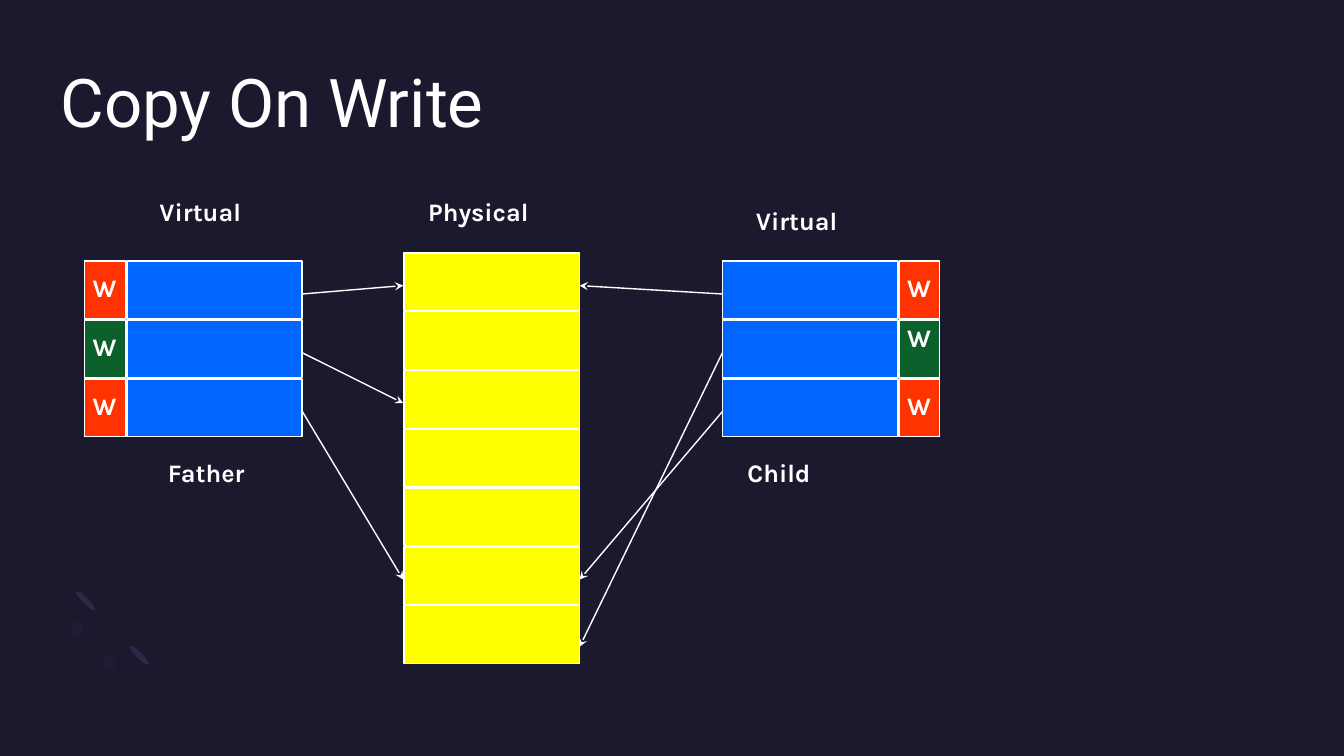
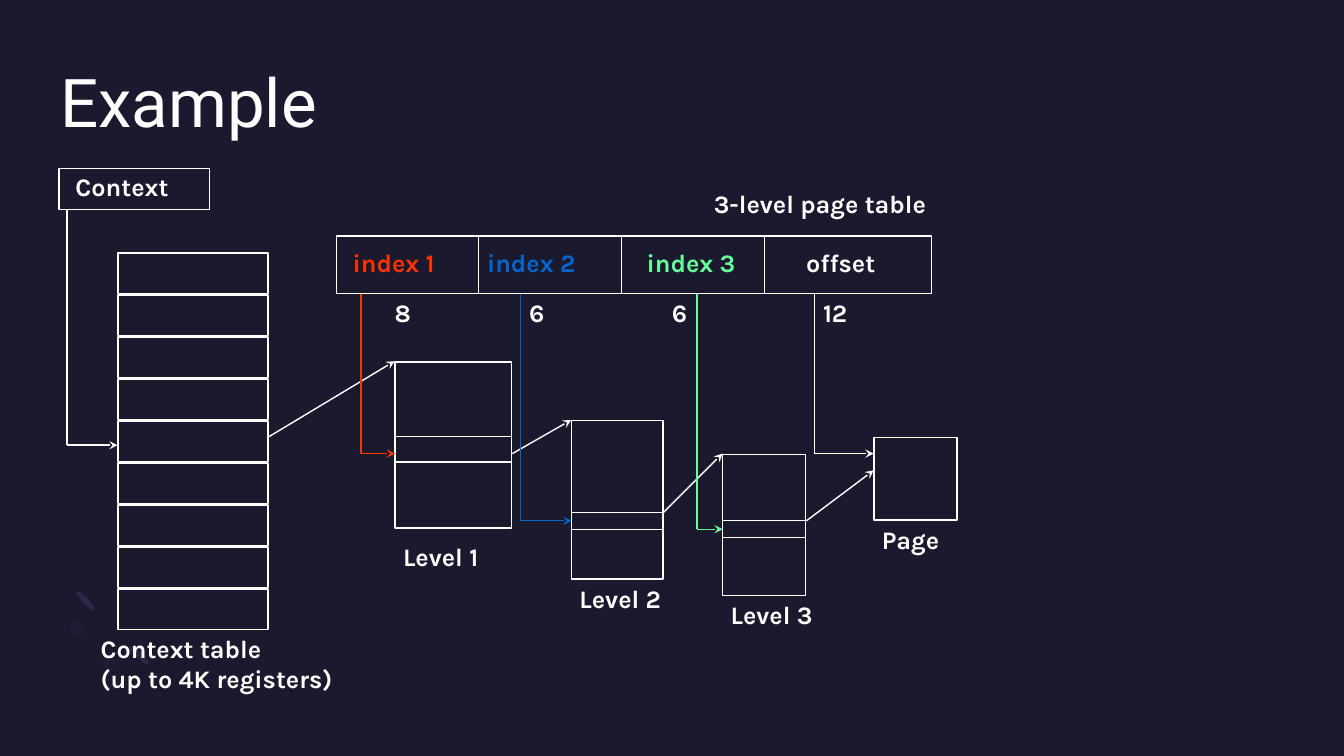
"""Build two slides on copy on write and a three-level page table."""
from dataclasses import dataclass
from typing import Optional

from lxml import etree
from pptx import Presentation
from pptx import util as u
from pptx.dml import color
from pptx.enum import shapes, text
from pptx.oxml import ns


@dataclass(frozen=True)
class Theme:
    background: str = "1B192E"
    ink: str = "FFFFFF"
    petal: str = "2C284A"
    haze: str = "1F1D33"
    blue: str = "0066FF"
    yellow: str = "FFFF00"
    red: str = "FF3300"
    green: str = "0C602B"
    index_blue: str = "0066CC"
    index_green: str = "66FF99"
    title_font: str = "Roboto"
    body_font: str = "Karla"
    title_size: float = 48
    body_size: float = 18
    line_width: float = 1


@dataclass(frozen=True)
class Area:
    left: float
    top: float
    width: float
    height: float


@dataclass(frozen=True)
class Label:
    words: str
    left: float
    top: float
    width: float = 96
    colour: str = Theme.ink
    height: float = 36


@dataclass(frozen=True)
class Arrow:
    x1: float
    y1: float
    x2: float
    y2: float


@dataclass(frozen=True)
class Drop:
    x: float
    top: float
    bottom: float
    end: float
    colour: str = Theme.ink


@dataclass(frozen=True)
class Level:
    name: str
    area: Area
    entry_top: float
    entry_bottom: float
    label_top: float
    drop_x: float
    colour: str
    exit: Arrow


THEME = Theme()
KIND = shapes.MSO_SHAPE
ROW_PITCH = 42.1
VIRTUAL_TOP = 186.4
FIELD_BOTTOM = 210


def rgb(value: str) -> color.RGBColor:
    return color.RGBColor.from_string(value)


def add_figure(page, kind, area: Area, fill: Optional[str] = None,
               outlined: bool = True, turn: float = 0) -> None:
    box = page.shapes.add_shape(kind, u.Pt(area.left), u.Pt(area.top),
                                u.Pt(area.width), u.Pt(area.height))
    box.shadow.inherit = False
    box.rotation = turn
    if fill:
        box.fill.solid()
        box.fill.fore_color.rgb = rgb(fill)
    else:
        box.fill.background()
    if outlined:
        box.line.color.rgb = rgb(THEME.ink)
        box.line.width = u.Pt(THEME.line_width)
    else:
        box.line.fill.background()


def add_rows(page, first: Area, pitch: float, fills: list[Optional[str]]) -> None:
    for row, fill in enumerate(fills):
        area = Area(first.left, first.top + row * pitch, first.width, first.height)
        add_figure(page, KIND.RECTANGLE, area, fill)


def add_line(page, line: Arrow, colour: str = THEME.ink, headed: bool = False) -> None:
    connector = page.shapes.add_connector(
        shapes.MSO_CONNECTOR.STRAIGHT, u.Pt(line.x1), u.Pt(line.y1),
        u.Pt(line.x2), u.Pt(line.y2))
    connector.line.color.rgb = rgb(colour)
    connector.line.width = u.Pt(THEME.line_width)
    properties = connector._element.spPr
    if headed:
        stroke = properties.find(ns.qn("a:ln"))
        etree.SubElement(stroke, ns.qn("a:tailEnd"), type="stealth")
    etree.SubElement(properties, ns.qn("a:effectLst"))


def add_drop(page, drop: Drop) -> None:
    add_line(page, Arrow(drop.x, drop.top, drop.x, drop.bottom), drop.colour)
    add_line(page, Arrow(drop.x, drop.bottom, drop.end, drop.bottom), drop.colour, True)


def add_text(page, area: Area, words: str, font: str, size: float, colour: str,
             bold: bool, inset_x: float = 0, inset_y: float = 0) -> None:
    box = page.shapes.add_textbox(u.Pt(area.left), u.Pt(area.top),
                                  u.Pt(area.width), u.Pt(area.height))
    frame = box.text_frame
    frame.word_wrap = True
    frame.vertical_anchor = text.MSO_ANCHOR.TOP
    frame.margin_left = frame.margin_right = u.Pt(inset_x)
    frame.margin_top = frame.margin_bottom = u.Pt(inset_y)
    for number, line in enumerate(words.split("\n")):
        para = frame.add_paragraph() if number else frame.paragraphs[0]
        span = para.add_run()
        span.text = line
        span.font.name = font
        span.font.size = u.Pt(size)
        span.font.bold = bold
        span.font.color.rgb = rgb(colour)


def add_label(page, label: Label) -> None:
    add_text(page, Area(label.left, label.top, label.width, label.height), label.words,
             THEME.body_font, THEME.body_size, label.colour, True, 7.2, 3.6)


def add_page(deck, title: str):
    page = deck.slides.add_slide(deck.slide_layouts[6])
    for left, top in ((97.2, 458.6), (59, 419.8)):
        add_figure(page, KIND.OVAL, Area(left, top, 4.3, 18.7), THEME.petal, False, 135)
    for left, top in ((50.5, 443.5), (73.5, 468)):
        add_figure(page, KIND.OVAL, Area(left, top, 9, 11), THEME.haze, False)
    add_text(page, Area(43.2, 43.2, 873.4, 105), title,
             THEME.title_font, THEME.title_size, THEME.ink, False)
    return page


def add_copy_on_write(deck) -> None:
    page = add_page(deck, "Copy On Write")
    flags = [THEME.red, THEME.green, THEME.red]
    for left in (90.6, 516.2):
        add_rows(page, Area(left, VIRTUAL_TOP, 125.2, 41.2), ROW_PITCH, [THEME.blue] * 3)
    add_rows(page, Area(288.6, 180.7, 125.2, 41.2), 42, [THEME.yellow] * 7)
    for left in (60.5, 642.3):
        add_rows(page, Area(left, VIRTUAL_TOP, 29, 41.2), ROW_PITCH, flags)

    for start, end, targets in ((216, 288, (204, 288, 414)), (516, 414, (204, 462, 414))):
        for row, target in enumerate(targets):
            add_line(page, Arrow(start, 210 + row * 42, end, target), headed=True)

    for left, nudges in ((59, (0, 0, 0)), (640.8, (0, -6, 0))):
        for row, nudge in enumerate(nudges):
            top = VIRTUAL_TOP + 4.4 + row * ROW_PITCH + nudge
            add_label(page, Label("W", left, top, 40))

    for label in (
        Label("Virtual", 106.8, 136.8),
        Label("Virtual", 532.8, 142.8),
        Label("Physical", 298.8, 136.8, 106),
        Label("Father", 112.8, 322.8),
        Label("Child", 526.8, 322.8),
    ):
        add_label(page, label)


def add_level(page, level: Level) -> None:
    area = level.area
    add_figure(page, KIND.RECTANGLE, area)
    for y in (level.entry_top, level.entry_bottom):
        add_line(page, Arrow(area.left, y, area.left + area.width, y))
    middle = (level.entry_top + level.entry_bottom) / 2
    if level.name == "Level 1":
        middle += 3
    add_drop(page, Drop(level.drop_x, FIELD_BOTTOM, middle, area.left, level.colour))
    add_line(page, level.exit, headed=True)
    add_label(page, Label(level.name, area.left - 1.4, level.label_top))


def add_example(deck) -> None:
    page = add_page(deck, "Example")
    add_rows(page, Area(84.2, 180.7, 107.4, 29.1), 30, [None] * 9)
    for area in (
        Area(42.2, 120.4, 107.4, 29.1),
        Area(240.3, 168.6, 425, 41),
        Area(624.4, 312.4, 59.2, 59.2),
    ):
        add_figure(page, KIND.RECTANGLE, area)
    for divider in range(3):
        x = 342 + divider * 102
        add_line(page, Arrow(x, 168, x, FIELD_BOTTOM))

    add_drop(page, Drop(48, 150, 318, 84))
    add_drop(page, Drop(582, FIELD_BOTTOM, 324, 624))
    add_line(page, Arrow(192, 312, 281.8, 258), headed=True)

    for level in (
        Level("Level 1", Area(282.2, 258.5, 83.3, 118.8), 312, 330, 382.8,
              258, THEME.red, Arrow(366, 324, 408, 300)),
        Level("Level 2", Area(408.2, 300.4, 65.3, 113.2), 366, 378, 412.8,
              372, THEME.index_blue, Arrow(474, 366, 516, 324)),
        Level("Level 3", Area(516.2, 324.6, 59.3, 100.8), 372, 384, 424.8,
              498, THEME.index_green, Arrow(576, 372, 624, 336)),
    ):
        add_level(page, level)

    for label in (
        Label("Context", 46.8, 118.8),
        Label("Context table\n(up to 4K registers)", 64.8, 448.8, 214, height=64.8),
        Label("3-level page table", 502.8, 130.8, 192),
        Label("index 1", 244.8, 172.8, colour=THEME.red),
        Label("index 2", 340.8, 172.8, colour=THEME.index_blue),
        Label("index 3", 454.8, 172.8, colour=THEME.index_green),
        Label("offset", 568.8, 172.8),
        Label("8", 274.8, 208.8, 40),
        Label("6", 370.8, 208.8, 40),
        Label("6", 472.8, 208.8, 40),
        Label("12", 580.8, 208.8, 40),
        Label("Page", 622.8, 370.8),
    ):
        add_label(page, label)


def main() -> None:
    deck = Presentation()
    deck.slide_width, deck.slide_height = u.Pt(960), u.Pt(540)
    backdrop = deck.slide_master.background.fill
    backdrop.solid()
    backdrop.fore_color.rgb = rgb(THEME.background)
    add_copy_on_write(deck)
    add_example(deck)
    deck.save("out.pptx")


if __name__ == "__main__":
    main()
